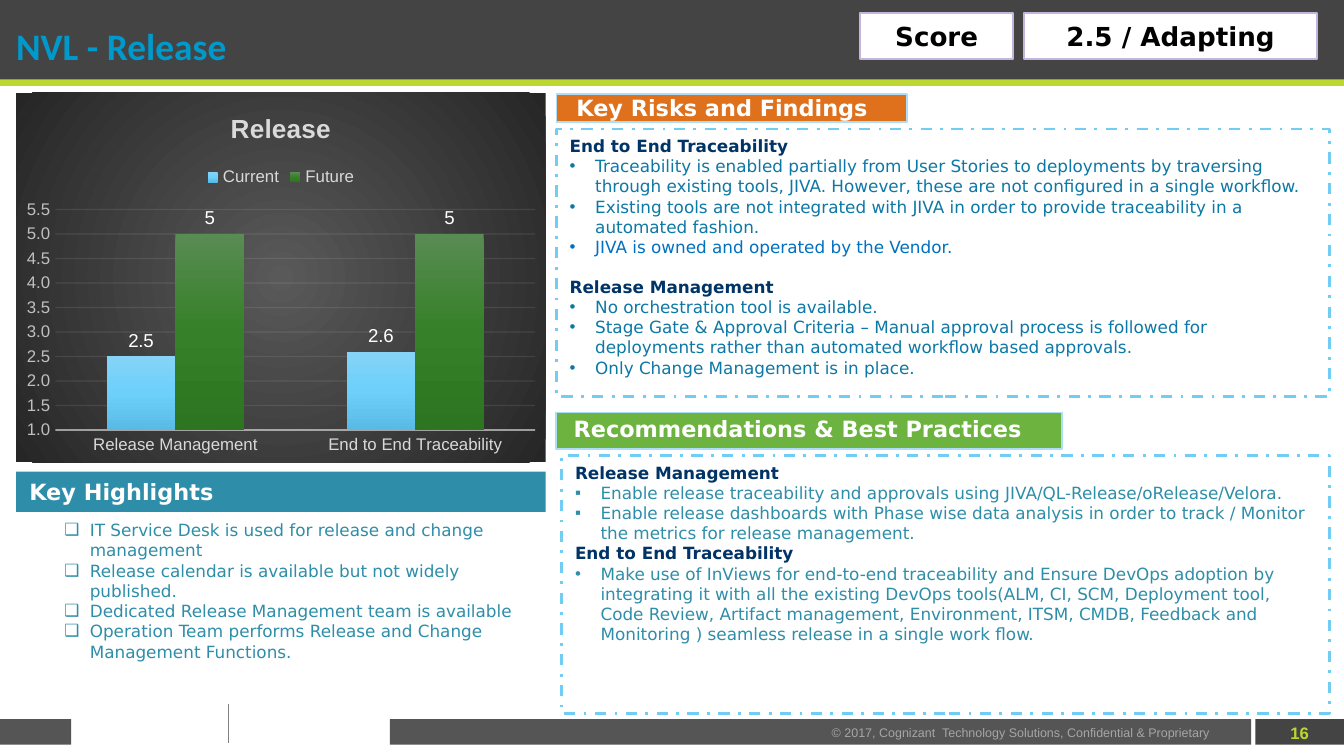
from pptx import Presentation
from pptx.chart.data import CategoryChartData
from pptx.dml.color import RGBColor
from pptx.enum.chart import (XL_CHART_TYPE, XL_LABEL_POSITION,
                             XL_LEGEND_POSITION, XL_TICK_MARK)
from pptx.enum.dml import MSO_LINE
from pptx.enum.shapes import MSO_CONNECTOR, MSO_SHAPE
from pptx.enum.text import MSO_ANCHOR, PP_ALIGN
from pptx.oxml import parse_xml
from pptx.oxml.ns import nsdecls
from pptx.util import Inches, Pt
from lxml.etree import SubElement

COLORS = {
    "white": "FFFFFF", "black": "000000", "dark": "444444", "foot": "555555",
    "lime": "BCD730", "title": "0099CC", "navy": "003366", "blue": "0D78A6",
    "link": "0070C0", "teal": "2E8EA9", "sky": "72CDF4", "pale": "ADDEF7",
    "lilac": "C3B6DC", "orange": "DF701C", "green": "6DB33F", "rule": "808080",
    "copy": "A6A6A6", "label": "D9D9D9", "tick": "BFBFBF", "grid": "F2F2F2",
}
SANS = "DejaVu Sans"
MAIN = "http://schemas.openxmlformats.org/drawingml/2006/main"
HIGHLIGHTS = [
    ("❑", "IT Service Desk is used for release and change management", "teal"),
    ("❑", "Release calendar is available but not widely published.", "teal"),
    ("❑", "Dedicated Release Management team is available", "teal"),
    ("❑", "Operation Team performs Release and Change Management Functions.", "teal"),
]
RISKS = [
    ("", "End to End Traceability", "navy"),
    ("•", "Traceability is enabled partially from User Stories to deployments by "
     "traversing through existing tools, JIVA. However, these are not configured "
     "in a single workflow.", "blue"),
    ("•", "Existing tools are not integrated with JIVA in order to provide "
     "traceability in a automated fashion.", "blue"),
    ("•", "JIVA is owned and operated by the Vendor.", "link"),
    ("", "Release Management", "navy"),
    ("•", "No orchestration tool is available.", "blue"),
    ("•", "Stage Gate & Approval Criteria – Manual approval process is followed for "
     "deployments rather than automated workflow based approvals.", "blue"),
    ("•", "Only Change Management is in place.", "blue"),
]
ADVICE = [
    ("", "Release Management", "navy"),
    ("▪", "Enable release traceability and approvals using "
     "JIVA/QL-Release/oRelease/Velora.", "teal"),
    ("▪", "Enable release dashboards with Phase wise data analysis in order to "
     "track / Monitor the metrics for release management.", "teal"),
    ("", "End to End Traceability", "navy"),
    ("•", "Make use of InViews for end-to-end traceability and Ensure DevOps adoption "
     "by integrating it with all the existing DevOps tools(ALM, CI, SCM, Deployment "
     "tool, Code Review, Artifact management, Environment, ITSM, CMDB, Feedback and "
     "Monitoring ) seamless release in a single work flow.", "teal"),
]


def color(name):
    return RGBColor.from_string(COLORS[name])


def style(font, size, tint, bold=False, face=SANS):
    font.size, font.bold, font.name = Pt(size), bold, face
    font.color.rgb = color(tint)


def add_box(slide, at, fill=None, line=None, width=1, dash=None):
    box = slide.shapes.add_shape(MSO_SHAPE.RECTANGLE, *map(Inches, at))
    box.shadow.inherit = False
    if fill:
        box.fill.solid()
        box.fill.fore_color.rgb = color(fill)
    else:
        box.fill.background()
    if line:
        box.line.color.rgb = color(line)
        box.line.width = Pt(width)
        box.line.dash_style = dash
    else:
        box.line.fill.background()
    return box


def add_text(slide, at):
    return slide.shapes.add_textbox(*map(Inches, at))


def put_line(shape, text, size, tint, bold=True, face=SANS,
             align=PP_ALIGN.LEFT, anchor=MSO_ANCHOR.MIDDLE, wrap=True):
    frame = shape.text_frame
    frame.word_wrap, frame.vertical_anchor = wrap, anchor
    para = frame.paragraphs[0]
    para.text, para.alignment = text, align
    style(para.font, size, tint, bold, face)
    return frame


def put_list(shape, items, gap=0):
    """Write headings and bullets; gap is the space above later headings."""
    frame = shape.text_frame
    frame.word_wrap, frame.vertical_anchor = True, MSO_ANCHOR.TOP
    for i, (mark, text, tint) in enumerate(items):
        para = frame.add_paragraph() if i else frame.paragraphs[0]
        para.text, para.alignment = text, PP_ALIGN.LEFT
        if mark:
            props = para._p.get_or_add_pPr()
            props.set("marL", str(Inches(0.19)))
            props.set("indent", str(-Inches(0.19)))
            SubElement(props, f"{{{MAIN}}}buFont").set("typeface", "Arial")
            SubElement(props, f"{{{MAIN}}}buChar").set("char", mark)
        elif i and gap:
            para.space_before = Pt(gap)
        style(para.font, 9, tint, not mark)


def add_grad(props, stops, shade):
    """Give shape properties a gradient of (percent, colour) stops."""
    marks = "".join(f'<a:gs pos="{pos * 1000}"><a:srgbClr val="{tint}"/></a:gs>'
                    for pos, tint in stops)
    props.insert(0, parse_xml(f'<a:gradFill {nsdecls("a")}><a:gsLst>{marks}</a:gsLst>'
                              f'{shade}</a:gradFill>'))


def set_line(line, width, alpha):
    line.color.rgb, line.width = color("grid"), Pt(width)
    for tint in line._ln.iter(f"{{{MAIN}}}srgbClr"):
        SubElement(tint, f"{{{MAIN}}}alpha").set("val", str(alpha * 1000))


def add_chart(slide):
    data = CategoryChartData()
    data.categories = ["Release Management", "End to End Traceability"]
    data.add_series("Current", (2.5, 2.6))
    data.add_series("Future", (5, 5))
    chart = slide.shapes.add_chart(XL_CHART_TYPE.COLUMN_CLUSTERED,
                                   *map(Inches, (0.12, 0.69, 3.94, 2.75)), data).chart
    style(chart.font, 10, "black", face="Arial")
    back = parse_xml(f'<c:spPr {nsdecls("c", "a")}><a:ln><a:noFill/></a:ln></c:spPr>')
    chart._chartSpace.chart.addnext(back)
    add_grad(back, [(0, "595959"), (100, "262626")],
             '<a:path path="circle"><a:fillToRect l="50000" t="50000" r="50000" '
             'b="50000"/></a:path>')
    chart.has_title = True
    head = chart.chart_title.text_frame
    head.text = "Release"
    style(head.paragraphs[0].font, 14, "label", True, "Arial")
    chart.has_legend = True
    chart.legend.position = XL_LEGEND_POSITION.TOP
    chart.legend.include_in_layout = False
    style(chart.legend.font, 9, "label", face="Arial")

    cats, vals = chart.category_axis, chart.value_axis
    for axis, tint in ((cats, "label"), (vals, "tick")):
        axis.major_tick_mark = axis.minor_tick_mark = XL_TICK_MARK.NONE
        style(axis.tick_labels.font, 9, tint, face="Arial")
    set_line(cats.format.line, 1, 54)
    vals.format.line.fill.background()
    vals.minimum_scale = 1
    vals.tick_labels.number_format = "0.0"
    vals.tick_labels.number_format_is_linked = False
    set_line(vals.major_gridlines.format.line, 0.75, 10)

    plot = chart.plots[0]
    plot.gap_width, plot.overlap, plot.vary_by_categories = 150, 0, False
    looks = ((("85D3F7", "6CD0FB", "59BBE5"), "0.0"),
             (("598C53", "358028", "2D7520"), "General"))
    for series, (tints, form) in zip(plot.series, looks):
        add_grad(series._element.get_or_add_spPr(), zip((0, 50, 100), tints),
                 '<a:lin ang="5400000" scaled="0"/>')
        labels = series.data_labels
        labels.show_value = True
        labels.position = XL_LABEL_POSITION.OUTSIDE_END
        labels.number_format, labels.number_format_is_linked = form, False
        style(labels.font, 10, "white", face="Arial")


def add_frame(slide):
    """Draw the header band, the footer and the title."""
    for at, fill in (((9.34, 5.35, 0.67, 0.19), "dark"),
                     ((2.9, 5.35, 6.41, 0.19), "foot"),
                     ((0, 5.35, 0.53, 0.19), "foot"),
                     ((0, 0, 10.01, 0.6), "dark"),
                     ((0, 0.59, 10.01, 0.05), "lime")):
        add_box(slide, at, fill)
    put_line(add_text(slide, (9.45, 5.34, 0.44, 0.23)), "16", 8.9, "lime",
             face="Arial", align=PP_ALIGN.CENTER, wrap=False)
    put_line(add_text(slide, (6.09, 5.36, 3.06, 0.18)),
             "© 2017, Cognizant  Technology Solutions, Confidential & Proprietary",
             6.7, "copy", False, "Arial")
    rule = slide.shapes.add_connector(MSO_CONNECTOR.STRAIGHT, Inches(1.7), Inches(5.24),
                                      Inches(1.7), Inches(5.53))
    rule.line.color.rgb, rule.line.width = color("rule"), Pt(1)
    SubElement(rule._element.spPr, f"{{{MAIN}}}effectLst")
    title = put_line(add_text(slide, (0.12, 0.09, 9.26, 0.5)), "NVL - Release",
                     20, "title", face="Calibri")
    title.margin_left = title.margin_right = 0
    title.margin_top = title.margin_bottom = Inches(0.07)


def main():
    deck = Presentation()
    deck.slide_width = Inches(10)
    deck.slide_height = deck.slide_width * 9 // 16
    slide = deck.slides.add_slide(deck.slide_layouts[6])
    add_frame(slide)
    for text, left, width in (("2.5 / Adapting", 7.62, 2.18), ("Score", 6.4, 1.14)):
        put_line(add_box(slide, (left, 0.1, width, 0.34), "white", "lilac"),
                 text, 14, "black", align=PP_ALIGN.CENTER)

    dash = MSO_LINE.DASH_DOT
    put_list(add_box(slide, (4.14, 0.96, 5.75, 1.99), None, "sky", 1.5, dash), RISKS, 10.5)
    put_list(add_text(slide, (0.38, 3.82, 3.68, 1.23)), HIGHLIGHTS)
    put_line(add_box(slide, (0.12, 3.51, 3.94, 0.3), "teal"), "Key Highlights",
             12, "white", anchor=MSO_ANCHOR.TOP)
    add_chart(slide)
    add_box(slide, (1.8, 5.07, 0.97, 0.45), "white")
    for bar, fill, at, text, wrap in (
            ((4.14, 0.7, 2.61, 0.21), "orange", (4.19, 0.65, 2.37, 0.3),
             "Key Risks and Findings", False),
            ((4.14, 3.07, 3.76, 0.27), "green", (4.17, 3.04, 4.12, 0.3),
             "Recommendations & Best Practices", True)):
        add_box(slide, bar, fill, "pale")
        put_line(add_text(slide, at), text, 12, "white", anchor=MSO_ANCHOR.TOP, wrap=wrap)
    put_list(add_box(slide, (4.18, 3.39, 5.71, 1.92), "white", "sky", 1.5, dash), ADVICE)
    deck.save("out.pptx")


if __name__ == "__main__":
    main()
